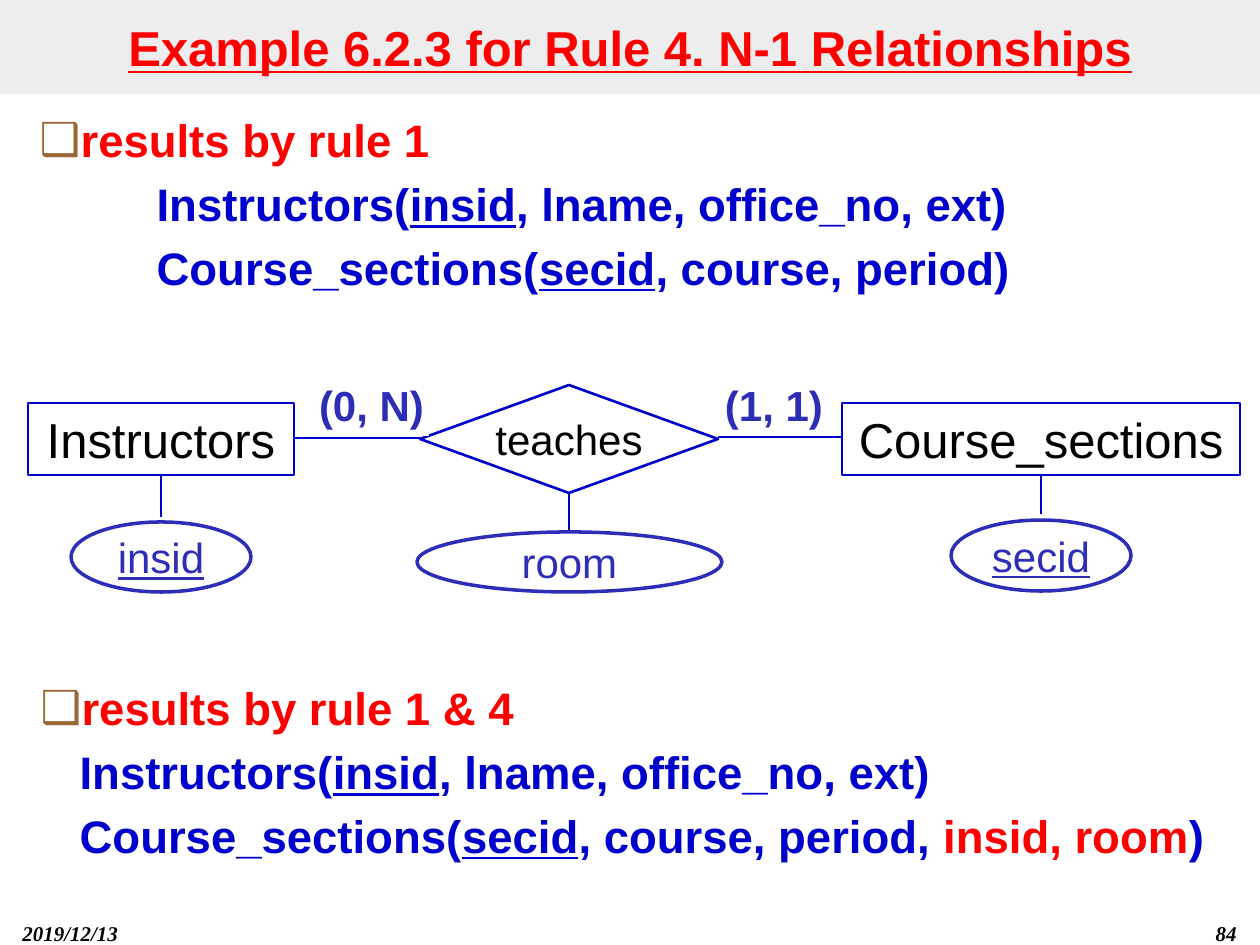
from dataclasses import dataclass, field

from lxml.etree import SubElement
from pptx import Presentation
from pptx.dml.color import RGBColor
from pptx.enum.shapes import MSO_CONNECTOR, MSO_SHAPE
from pptx.enum.text import MSO_ANCHOR, MSO_AUTO_SIZE, PP_ALIGN
from pptx.oxml.ns import qn
from pptx.util import Emu, Pt

COLORS = {
    "band": "DDDDDD", "white": "FFFFFF", "black": "000000", "red": "FF0000",
    "blue": "0000CC", "violet": "2D2DB7", "bullet": "996633",
}
FORMATS = {
    "title": {"size": Pt(28), "name": "Arial", "bold": True, "underline": True},
    "list": {"size": Pt(26), "name": "Arial", "bold": True},
    "key": {"size": Pt(26), "name": "Arial", "bold": True, "underline": True},
    "entity": {"size": Pt(28), "name": "Arial"},
    "plain": {"size": Pt(24), "name": "Arial"},
    "plain_key": {"size": Pt(24), "name": "Arial", "underline": True},
    "label": {"size": Pt(24), "name": "Arial", "bold": True},
    "footer": {"size": Pt(12), "name": "Times New Roman", "bold": True, "italic": True},
}
EMU_PER_PX = 914400 / 126


@dataclass
class Box:
    x: int
    y: int
    w: int
    h: int


@dataclass
class Span:
    text: str
    fmt: str = "list"
    color: str = "blue"


@dataclass
class Node:
    kind: MSO_SHAPE
    box: Box
    span: Span
    line: str | None = "blue"
    width: float = 1.5
    fill: str | None = None
    frame: dict = field(default_factory=dict)


@dataclass
class Link:
    x1: int
    y1: int
    x2: int
    y2: int


@dataclass
class Results:
    box: Box
    heading: str
    indent: int
    schemas: list[list[Span]]


def px(n: int) -> Emu:
    return Emu(round(n * EMU_PER_PX))


def rgb(name: str) -> RGBColor:
    return RGBColor.from_string(COLORS[name])


def apply(obj, values: dict) -> None:
    for name, value in values.items():
        setattr(obj, name, value)


def place(sp, box: Box) -> None:
    apply(sp, {"left": px(box.x), "top": px(box.y), "width": px(box.w), "height": px(box.h)})


def add_span(p, span: Span) -> None:
    r = p.add_run()
    r.text = span.text
    apply(r.font, FORMATS[span.fmt])
    r.font.color.rgb = rgb(span.color)


def set_bullet(p, left: int, hanging: int, char: str | None = None) -> None:
    pPr = p._p.get_or_add_pPr()
    pPr.set("marL", str(px(left)))
    pPr.set("indent", str(px(-hanging)))
    if char:
        clr = SubElement(pPr, qn("a:buClr"))
        SubElement(clr, qn("a:srgbClr"), val=COLORS["bullet"])
        SubElement(pPr, qn("a:buFont"), typeface="Arial")
        SubElement(pPr, qn("a:buChar"), char=char)
    else:
        SubElement(pPr, qn("a:buNone"))


def fill_title(sp, text: str) -> None:
    place(sp, Box(0, 0, 1260, 94))
    sp.fill.solid()
    sp.fill.fore_color.rgb = rgb("band")
    clr = sp.fill._xPr.find(qn("a:solidFill"))[0]
    SubElement(clr, qn("a:alpha"), val="50000")
    tf = sp.text_frame
    apply(tf, {"auto_size": MSO_AUTO_SIZE.NONE, "vertical_anchor": MSO_ANCHOR.MIDDLE})
    p = tf.paragraphs[0]
    p.alignment = PP_ALIGN.CENTER
    add_span(p, Span(text, "title", "red"))


def fill_results(sp, results: Results) -> None:
    place(sp, results.box)
    tf = sp.text_frame
    tf.auto_size = MSO_AUTO_SIZE.NONE
    p = tf.paragraphs[0]
    set_bullet(p, 48, 39, "❑")
    add_span(p, Span(results.heading, color="red"))
    for schema in results.schemas:
        p = tf.add_paragraph()
        p.level = 1
        set_bullet(p, results.indent, 0)
        for span in schema:
            add_span(p, span)


def add_node(s, node: Node) -> None:
    sp = s.shapes.add_shape(node.kind, 0, 0, 0, 0)
    place(sp, node.box)
    sp.shadow.inherit = False
    if node.fill:
        sp.fill.solid()
        sp.fill.fore_color.rgb = rgb(node.fill)
    else:
        sp.fill.background()
    if node.line:
        sp.line.color.rgb = rgb(node.line)
        sp.line.width = Pt(node.width)
    else:
        sp.line.fill.background()
    tf = sp.text_frame
    apply(tf, {"word_wrap": False, **node.frame})
    p = tf.paragraphs[0]
    p.alignment = PP_ALIGN.CENTER if node.line else PP_ALIGN.LEFT
    add_span(p, node.span)


def add_link(s, link: Link) -> None:
    cx = s.shapes.add_connector(
        MSO_CONNECTOR.STRAIGHT, px(link.x1), px(link.y1), px(link.x2), px(link.y2))
    cx.line.color.rgb = rgb("blue")
    cx.line.width = Pt(1.5)
    SubElement(cx._element.spPr, qn("a:effectLst"))


def add_footer(s, box: Box, text: str, align: PP_ALIGN) -> None:
    sp = s.shapes.add_textbox(0, 0, 0, 0)
    place(sp, box)
    sp.text_frame.word_wrap = True
    p = sp.text_frame.paragraphs[0]
    p.alignment = align
    add_span(p, Span(text, "footer", "black"))


def entity(box: Box, text: str) -> Node:
    return Node(MSO_SHAPE.RECTANGLE, box, Span(text, "entity", "black"),
                frame={"vertical_anchor": MSO_ANCHOR.TOP})


def attribute(box: Box, text: str, fmt: str) -> Node:
    return Node(MSO_SHAPE.OVAL, box, Span(text, fmt, "violet"), "violet", 2,
                frame={"vertical_anchor": MSO_ANCHOR.MIDDLE,
                       "margin_left": px(5), "margin_right": px(5)})


def cardinality(box: Box, text: str) -> Node:
    return Node(MSO_SHAPE.RECTANGLE, box, Span(text, "label", "violet"), None, fill="white",
                frame={"vertical_anchor": MSO_ANCHOR.TOP, "margin_left": 0, "margin_right": 0})


INSTRUCTORS = [Span("Instructors("), Span("insid", "key"), Span(", lname, office_no, ext)")]
SECTIONS = [Span("Course_sections("), Span("secid", "key")]
RESULTS = [
    Results(Box(18, 106, 1222, 200), "results by rule 1", 126,
            [INSTRUCTORS, [*SECTIONS, Span(", course, period)")]]),
    Results(Box(19, 674, 1222, 200), "results by rule 1 & 4", 48,
            [INSTRUCTORS, [*SECTIONS, Span(", course, period, "),
                           Span("insid, room", color="red"), Span(")")]]),
]
LINKS = [Link(295, 438, 420, 438), Link(718, 437, 842, 437), Link(569, 532, 569, 493),
         Link(161, 517, 161, 476), Link(1041, 514, 1041, 475)]
NODES = [
    entity(Box(28, 403, 266, 72), "Instructors"),
    entity(Box(842, 403, 398, 72), "Course_sections"),
    Node(MSO_SHAPE.DIAMOND, Box(420, 385, 298, 108), Span("teaches", "plain", "black"),
         frame={"vertical_anchor": MSO_ANCHOR.MIDDLE, "margin_left": 0, "margin_top": 0,
                "margin_right": 0, "margin_bottom": 0}),
    cardinality(Box(319, 373, 110, 63), "(0, N)"),
    cardinality(Box(725, 373, 110, 62), "(1, 1)"),
    attribute(Box(417, 532, 305, 60), "room", "plain"),
    attribute(Box(71, 522, 180, 70), "insid", "plain_key"),
    attribute(Box(951, 520, 180, 71), "secid", "plain_key"),
]


def main() -> None:
    prs = Presentation()
    apply(prs, {"slide_width": px(1260), "slide_height": px(945)})
    s = prs.slides.add_slide(prs.slide_layouts[3])
    fill_title(s.shapes.title, "Example 6.2.3 for Rule 4. N-1 Relationships")
    for idx, results in enumerate(RESULTS, 1):
        fill_results(s.placeholders[idx], results)
    for link in LINKS:
        add_link(s, link)
    for node in NODES:
        add_node(s, node)
    add_footer(s, Box(10, 914, 262, 31), "2019/12/13", PP_ALIGN.LEFT)
    add_footer(s, Box(987, 914, 262, 31), "84", PP_ALIGN.RIGHT)
    prs.save("out.pptx")


if __name__ == "__main__":
    main()
